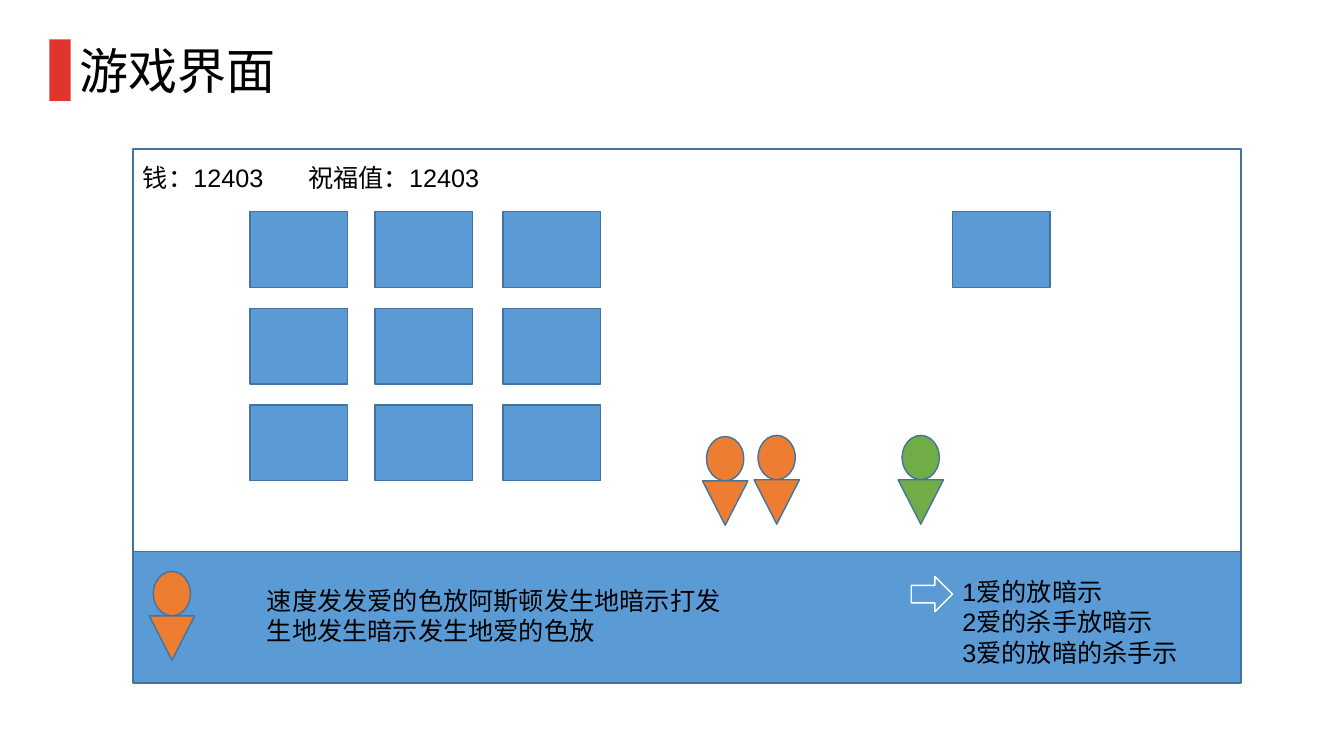
from dataclasses import dataclass

from pptx import Presentation
from pptx import util as u
from pptx.dml.color import RGBColor
from pptx.enum import shapes, text

KIND = shapes.MSO_SHAPE


@dataclass(frozen=True)
class Theme:
    font: str = "Arial"
    title: float = 35
    body: float = 18
    ink: str = "000000"
    accent: str = "E0352C"
    outline: str = "43739E"
    blue: str = "5B9BD5"
    orange: str = "ED7D31"
    green: str = "70AD47"
    white: str = "FFFFFF"


class Deck:
    def __init__(self, theme, width, height):
        self.theme = theme
        self.prs = Presentation()
        self.prs.slide_width, self.prs.slide_height = u.Pt(width), u.Pt(height)
        self.s = self.prs.slides.add_slide(self.prs.slide_layouts[6])

    def shape(self, kind, box, fill=None, line=None, weight=1, rotation=0, parent=None):
        sp = (parent or self.s).shapes.add_shape(kind, *map(u.Pt, box))
        sp.shadow.inherit = False
        sp.rotation = rotation
        if fill:
            sp.fill.solid()
            sp.fill.fore_color.rgb = RGBColor.from_string(fill)
        else:
            sp.fill.background()
        if line:
            sp.line.color.rgb = RGBColor.from_string(line)
            sp.line.width = u.Pt(weight)
        else:
            sp.line.fill.background()
        return sp

    def label(self, box, lines, size, wrap=True):
        tf = self.s.shapes.add_textbox(*map(u.Pt, box)).text_frame
        frame_format = {"word_wrap": wrap,
                        "auto_size": text.MSO_AUTO_SIZE.SHAPE_TO_FIT_TEXT}
        for name, value in frame_format.items():
            setattr(tf, name, value)
        for i, line in enumerate(lines):
            p = tf.add_paragraph() if i else tf.paragraphs[0]
            r = p.add_run()
            r.text = line
            for name, value in {"name": self.theme.font, "size": u.Pt(size)}.items():
                setattr(r.font, name, value)
            r.font.color.rgb = RGBColor.from_string(self.theme.ink)

    def figure(self, left, top, fill):
        """A round head on a triangle pointing down, grouped."""
        group = self.s.shapes.add_group_shape()
        outline = self.theme.outline
        self.shape(KIND.OVAL, (left + 2.9, top, 26.6, 31.7), fill, outline, parent=group)
        self.shape(KIND.ISOSCELES_TRIANGLE, (left, top + 31.7, 32.4, 31.7), fill, outline,
                   rotation=180, parent=group)


def main():
    t = Theme()
    deck = Deck(t, 960, 540)

    # Title with red marker
    deck.shape(KIND.RECTANGLE, (35.3, 28.1, 15.1, 43.9), t.accent)
    deck.label((49.7, 25.2, 163.4, 49.7), ["游戏界面"], t.title, wrap=False)

    # Game window and status line
    deck.shape(KIND.RECTANGLE, (95, 106.6, 791.3, 380.9), line=t.outline, weight=1.5)
    deck.label((95, 112.3, 105.8, 28.8), ["钱：12403"], t.body, wrap=False)
    deck.label((213.1, 112.3, 162, 28.8), ["祝福值：12403"], t.body, wrap=False)

    # Single tile, then the three by three field
    tiles = [(680.4, 151.2)]
    tiles += [(x, 151.2 + 69.1 * row) for row in range(3) for x in (178.6, 267.8, 359.3)]
    for x, y in tiles:
        deck.shape(KIND.RECTANGLE, (x, y, 69.8, 54), t.blue, t.outline)

    # Characters on the field
    for x, y, fill in ((538.6, 311, t.orange), (501.8, 311.8, t.orange),
                       (641.5, 311, t.green)):
        deck.figure(x, y, fill)

    # Dialogue panel with speaker, speech and choices
    deck.shape(KIND.RECTANGLE, (95, 393.8, 791.3, 93.6), t.blue, t.outline)
    deck.figure(106.6, 408.2, t.orange)
    deck.label((183.6, 414.7, 347, 51.1),
               ["速度发发爱的色放阿斯顿发生地暗示打发生地发生暗示发生地爱的色放"], t.body)
    deck.label((680.4, 408.2, 190.8, 72.7),
               ["1爱的放暗示", "2爱的杀手放暗示", "3爱的放暗的杀手示"], t.body)
    deck.shape(KIND.RIGHT_ARROW, (650.9, 411.8, 29.5, 25.2), t.blue, t.white)

    deck.prs.save("out.pptx")


if __name__ == "__main__":
    main()
